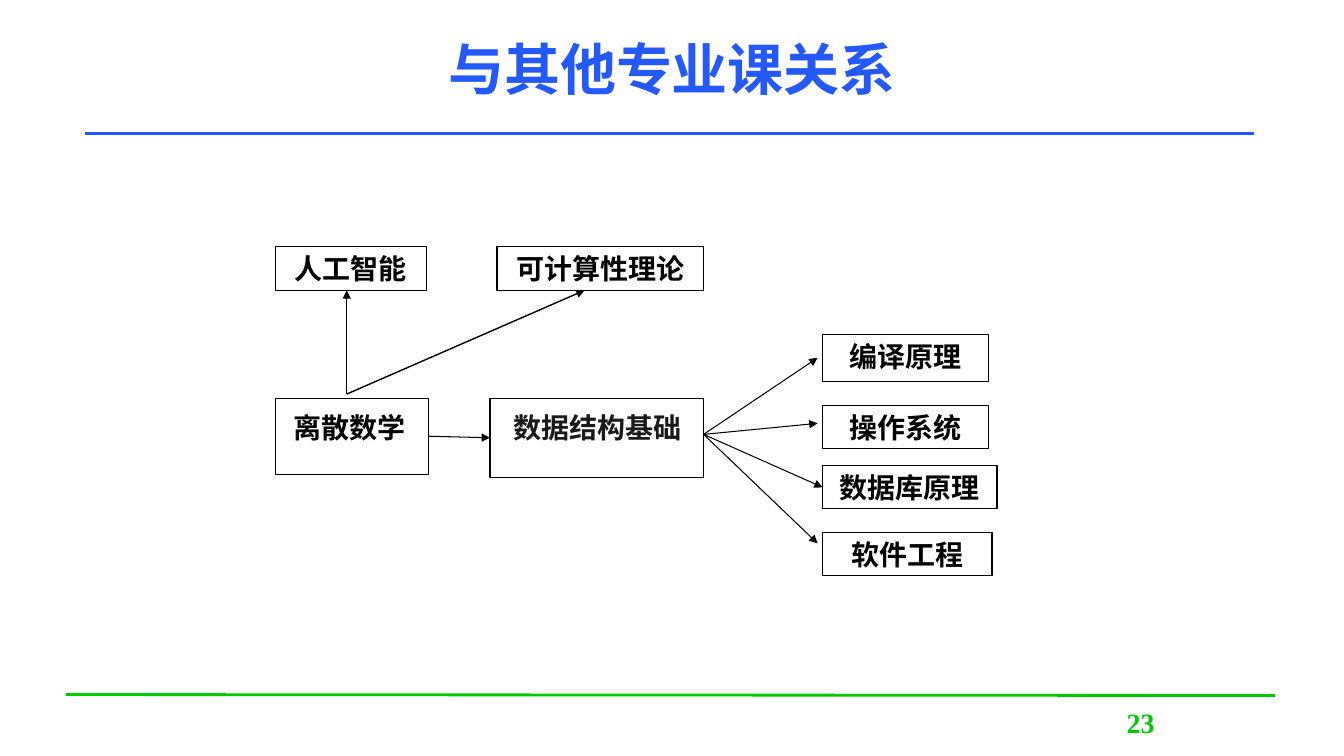
import pptx
import pptx.util
import pptx.oxml
import pptx.oxml.ns
import pptx.dml.color
import pptx.enum.text
import pptx.enum.lang
import pptx.enum.shapes
from dataclasses import dataclass

Pt = pptx.util.Pt
Align = pptx.enum.text.PP_ALIGN
Anchor = pptx.enum.text.MSO_ANCHOR


@dataclass(frozen=True)
class Theme:
    blue: str = "2359FB"
    green: str = "00CB00"
    black: str = "000000"
    white: str = "FFFFFF"
    head: int = 40
    body: int = 20
    thin: float = 0.75
    mid: float = 1
    rule: float = 2
    sans: str = "DejaVu Sans"
    serif: str = "Times New Roman"


theme = Theme()


def paint(hue):
    return pptx.dml.color.RGBColor.from_string(hue)


def add(parent, tag, **attrs):
    node = pptx.oxml.parse_xml(f"<a:{tag} {pptx.oxml.ns.nsdecls('a')}/>")
    for key, value in attrs.items():
        node.set(key, value)
    parent.append(node)


def write(shape, text, size=theme.body, hue=theme.black, face=theme.serif,
          align=Align.CENTER, anchor=Anchor.TOP):
    frame = shape.text_frame
    frame.word_wrap = True
    frame.auto_size = pptx.enum.text.MSO_AUTO_SIZE.NONE
    frame.vertical_anchor = anchor
    para = frame.paragraphs[0]
    para.alignment = align
    run = para.add_run()
    run.text = text
    font = run.font
    font.name, font.size, font.bold = face, Pt(size), True
    font.color.rgb = paint(hue)
    font.language_id = pptx.enum.lang.MSO_LANGUAGE_ID.SIMPLIFIED_CHINESE


def label(slide, box, text, **style):
    write(slide.shapes.add_textbox(*map(Pt, box)), text, **style)


def rect(slide, box, text=None, fill=theme.white, alpha=None):
    shape = slide.shapes.add_shape(
        pptx.enum.shapes.MSO_SHAPE.RECTANGLE, *map(Pt, box))
    shape.shadow.inherit = False
    if fill:
        shape.fill.solid()
        shape.fill.fore_color.rgb = paint(fill)
    else:
        shape.fill.background()
    if alpha:
        tint = shape._element.spPr.find(".//" + pptx.oxml.ns.qn("a:srgbClr"))
        add(tint, "alpha", val=str(alpha * 1000))
    shape.line.color.rgb = paint(theme.black)
    shape.line.width = Pt(theme.thin)
    if text:
        write(shape, text)
    return shape


def line(slide, start, end, hue=theme.black, width=theme.thin, arrow=False):
    link = slide.shapes.add_connector(
        pptx.enum.shapes.MSO_CONNECTOR.STRAIGHT, *map(Pt, (*start, *end)))
    link.line.color.rgb = paint(hue)
    link.line.width = Pt(width)
    if arrow:
        add(link.line._get_or_add_ln(), "tailEnd", type="triangle")
    add(link._element.spPr, "effectLst")
    return link


# Title with the rule below it
def header(slide, box):
    x, y, w, h = box
    title = slide.shapes.title
    title.left, title.top, title.width, title.height = map(Pt, box)
    write(title, "与其他专业课关系", theme.head, theme.blue, theme.sans,
          anchor=Anchor.MIDDLE)
    line(slide, (x - 11.5, y + h + 2), (x + 823.7, y + h + 2),
         theme.blue, theme.rule)


# Rule and page number
def footer(slide, box):
    x, y, w, h = box
    line(slide, (x, y), (x + w, y + 0.7), theme.green, theme.rule)
    label(slide, (x + 692, y + 4.3, 152, 36), "23", hue=theme.green)


# Course map
def courses(slide, box):
    x, y, w, h = box
    mid = x + 153.4    # left edge of the second column
    far = x + 391      # left edge of the third column
    row = y + 108      # top of the middle row

    # Core courses
    label(slide, (mid, row + 5, 154, 31), "数据结构基础")
    label(slide, (x + 5.8, row + 5, 111, 44), "离散数学",
          align=Align.JUSTIFY)
    data = rect(slide, (mid, row, 152.6, 56.6), alpha=10)
    maths = rect(slide, (x, row, 109.4, 54.4), fill=None)
    step = line(slide, (x + 109.4, row + 28), (mid, row + 28), arrow=True)
    step.begin_connect(maths, 3)
    step.end_connect(data, 1)

    # Courses built on data structures: top, width, height, arrow tip
    fan = [("编译原理", 62.6, 118.8, 33.8, (-3.6, 79.2)),
           ("操作系统", 113, 118.8, 31, (-3.6, 126)),
           ("数据库原理", 156.2, 124.6, 31, None),
           ("软件工程", 203.8, 121, 31, (-3.6, 211.7))]
    hub = (mid + 152.6, row + 25.9)
    for name, top, wide, high, tip in fan:
        node = rect(slide, (far, y + top, wide, high), name)
        dx, dy = tip or (0, top + high / 2)
        ray = line(slide, hub, (far + dx, y + dy), arrow=True)
        if tip is None:
            ray.end_connect(node, 1)

    # Courses built on discrete maths: left, width, arrow tip
    root = (x + 51.1, y + 105.1)
    for name, left, wide, tip in [("人工智能", 0, 108, 51.1),
                                  ("可计算性理论", 158.4, 147.6, 221)]:
        rect(slide, (x + left, y, wide, 31), name)
        line(slide, root, (x + tip, y + 31), width=theme.mid, arrow=True)


def main():
    deck = pptx.Presentation()
    deck.slide_width, deck.slide_height = Pt(960), Pt(540)
    slide = deck.slides.add_slide(deck.slide_layouts[5])
    header(slide, (72, 3.6, 816, 90))
    footer(slide, (46.8, 496.1, 864, 40))
    courses(slide, (196.6, 176.4, 516, 235))
    deck.save("out.pptx")


if __name__ == "__main__":
    main()
